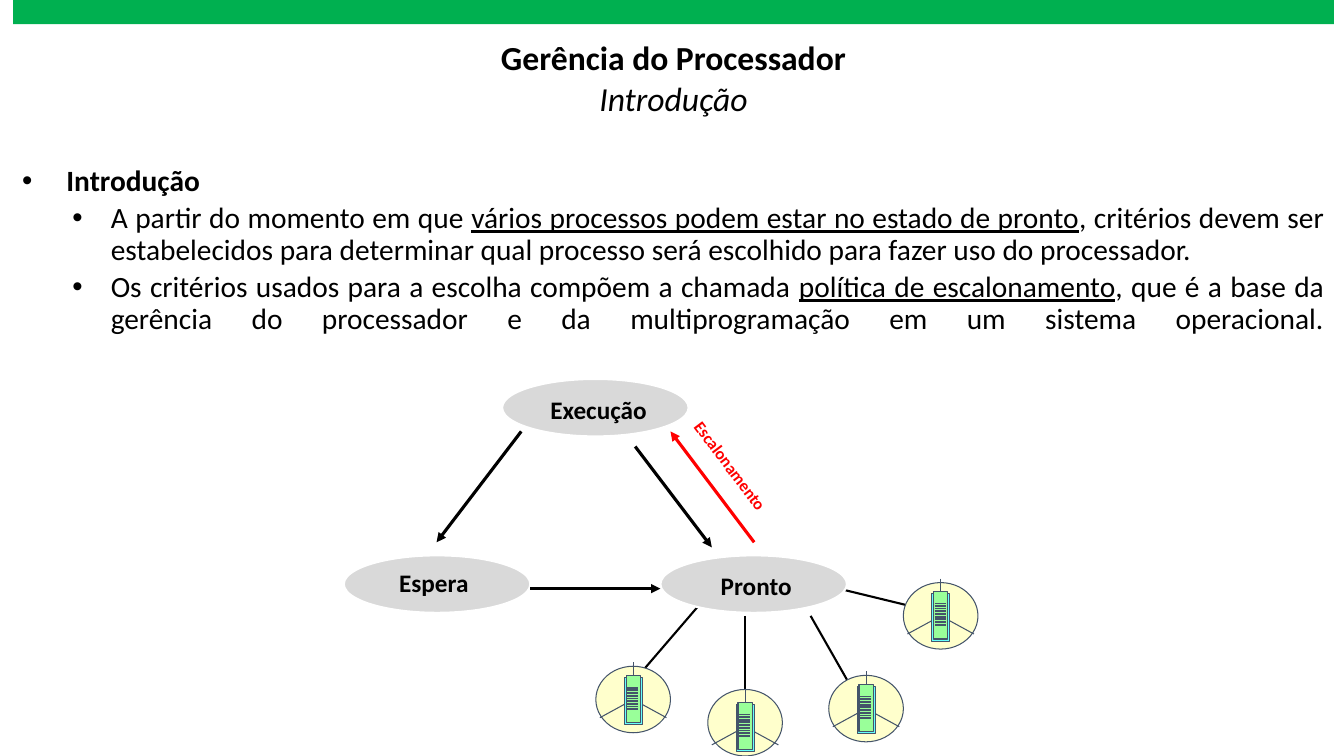
from lxml import etree
from pptx import Presentation
from pptx.dml.color import RGBColor
from pptx.enum.shapes import MSO_CONNECTOR, MSO_SHAPE
from pptx.enum.text import PP_ALIGN
from pptx.oxml.ns import qn
from pptx.util import Inches, Pt

COLORS = {
    "black": "000000", "green": "00B050", "state": "D9D9D9", "white": "FFFFFF",
    "red": "FF0000", "slate": "44546A", "cream": "FFFFCC", "cyan": "66FFFF", "mint": "99FF99",
}

prs = Presentation()
prs.slide_width, prs.slide_height = Inches(13.33), Inches(7.5)
s = prs.slides.add_slide(prs.slide_layouts[6])


def add_box(kind, at, fill=None, line=None, width=0.75):
    box = [Inches(v) for v in at]
    if kind is None:
        return s.shapes.add_textbox(*box)
    sp = s.shapes.add_shape(kind, *box)
    sp.shadow.inherit = False
    sp.fill.solid()
    sp.fill.fore_color.rgb = RGBColor.from_string(COLORS[fill])
    if line:
        sp.line.color.rgb = RGBColor.from_string(COLORS[line])
        sp.line.width = Pt(width)
    else:
        sp.line.fill.background()
    return sp


def add_line(start, end, color="slate", width=0.75, arrow=False):
    ends = [Inches(v) for v in (*start, *end)]
    c = s.shapes.add_connector(MSO_CONNECTOR.STRAIGHT, *ends)
    c.line.color.rgb = RGBColor.from_string(COLORS[color])
    c.line.width = Pt(width)
    if arrow:
        etree.SubElement(c.line._get_or_add_ln(), qn("a:tailEnd"), type="triangle")
    etree.SubElement(c._element.spPr, qn("a:effectLst"))


tf = add_box(None, (2.86, 0.32, 7.64, 0.91)).text_frame
tf.word_wrap = True
title = [
    ("Gerência do Processador", {"bold": True}),
    ("Introdução", {"italic": True}),
]
for i, (text, style) in enumerate(title):
    p = tf.add_paragraph() if i else tf.paragraphs[0]
    p.alignment = PP_ALIGN.CENTER
    r = p.add_run()
    r.text = text
    r.font.color.rgb = RGBColor.from_string(COLORS["black"])
    for key, value in {"name": "Calibri", "size": Pt(24), **style}.items():
        setattr(r.font, key, value)

add_box(MSO_SHAPE.RECTANGLE, (0.13, 0, 13.1, 0.24), "green")

tf = add_box(None, (0.12, 1.6, 13.11, 2.12)).text_frame
tf.word_wrap = True
body = [
    (0, 0.44, 0.44, [("Introdução", {"bold": True})]),
    (1, 0.88, 0.38, [
        ("A partir do momento em que ", {}),
        ("vários processos podem estar no estado de pronto", {"underline": True}),
        (", critérios devem ser estabelecidos para determinar qual processo "
         "será escolhido para fazer uso do processador.", {}),
    ]),
    (1, 0.88, 0.38, [
        ("Os critérios usados para a escolha compõem a chamada ", {}),
        ("política de escalonamento", {"underline": True}),
        (", que é a base da gerência do processador e da multiprogramação "
         "em um sistema operacional.", {}),
    ]),
]
for i, (level, margin, hanging, runs) in enumerate(body):
    p = tf.add_paragraph() if i else tf.paragraphs[0]
    p.level = level
    p.alignment = PP_ALIGN.JUSTIFY
    p.line_spacing = 0.9
    p.space_before = Pt(3.8 if i else 0)
    pPr = p._p.get_or_add_pPr()
    pPr.set("marL", str(Inches(margin)))
    pPr.set("indent", str(-Inches(hanging)))
    etree.SubElement(pPr, qn("a:buFont"), typeface="Arial")
    etree.SubElement(pPr, qn("a:buChar"), char="•")
    for text, style in runs:
        r = p.add_run()
        r.text = text
        r.font.color.rgb = RGBColor.from_string(COLORS["black"])
        for key, value in {"name": "Calibri", "size": Pt(21), **style}.items():
            setattr(r.font, key, value)
p.add_line_break()

process_links = [
    ((8.32, 5.84), (9.06, 6.02)),
    ((8.04, 6.11), (8.41, 6.76)),
    ((7.39, 6.11), (7.39, 6.85)),
    ((6.92, 6.02), (6.37, 6.66)),
]
for start, end in process_links:
    add_line(start, end, "black", 1.5)

for x, y in [(4.98, 3.76), (3.41, 5.51), (6.55, 5.51)]:
    add_box(MSO_SHAPE.OVAL, (x, y, 1.85, 0.57), "state", "white", 1.5)

labels = [
    ("Execução", (5.36, 3.86, 1.16, 0.4), 18, "black", 0),
    ("Espera", (3.86, 5.58, 0.89, 0.4), 18, "black", 0),
    ("Pronto", (7.05, 5.61, 0.94, 0.4), 18, "black", 0),
    ("Escalonamento", (6.55, 4.55, 1.48, 0.36), 12, "red", 53),
]
for text, at, size, color, rotation in labels:
    sp = add_box(None, at)
    sp.rotation = rotation
    sp.text_frame.word_wrap = False
    r = sp.text_frame.paragraphs[0].add_run()
    r.text = text
    r.font.color.rgb = RGBColor.from_string(COLORS[color])
    for key, value in {"name": "Calibri", "size": Pt(size), "bold": True}.items():
        setattr(r.font, key, value)

transitions = [
    ((5.17, 4.28), (4.33, 5.38), "black"),
    ((5.26, 5.84), (6.55, 5.84), "black"),
    ((7.48, 5.38), (6.65, 4.28), "red"),
    ((6.3, 4.43), (7.06, 5.43), "black"),
]
for start, end, color in transitions:
    add_line(start, end, color, 2.25, arrow=True)

processes = [(5.91, 6.61, 6.57), (7.02, 6.84, 6.84), (8.22, 6.7, 6.66), (8.96, 5.78, 5.74)]
for x, circle_top, top in processes:
    center, hub = x + 0.37, top + 0.37
    add_box(MSO_SHAPE.OVAL, (x, circle_top, 0.74, 0.66), "cream", "slate")
    add_line((center, top), (center, hub))
    for side in (0.33, -0.33):
        add_line((center, hub), (center + side, hub + 0.18))
    add_box(MSO_SHAPE.RECTANGLE, (x + 0.28, top + 0.15, 0.18, 0.47), "cyan", "slate")
    add_box(MSO_SHAPE.RECTANGLE, (x + 0.3, top + 0.13, 0.14, 0.47), "mint", "slate")
    for row in range(15):
        y = top + 0.25 + row * 0.22 / 14
        add_line((x + 0.31, y), (x + 0.42, y))

prs.save("out.pptx")
